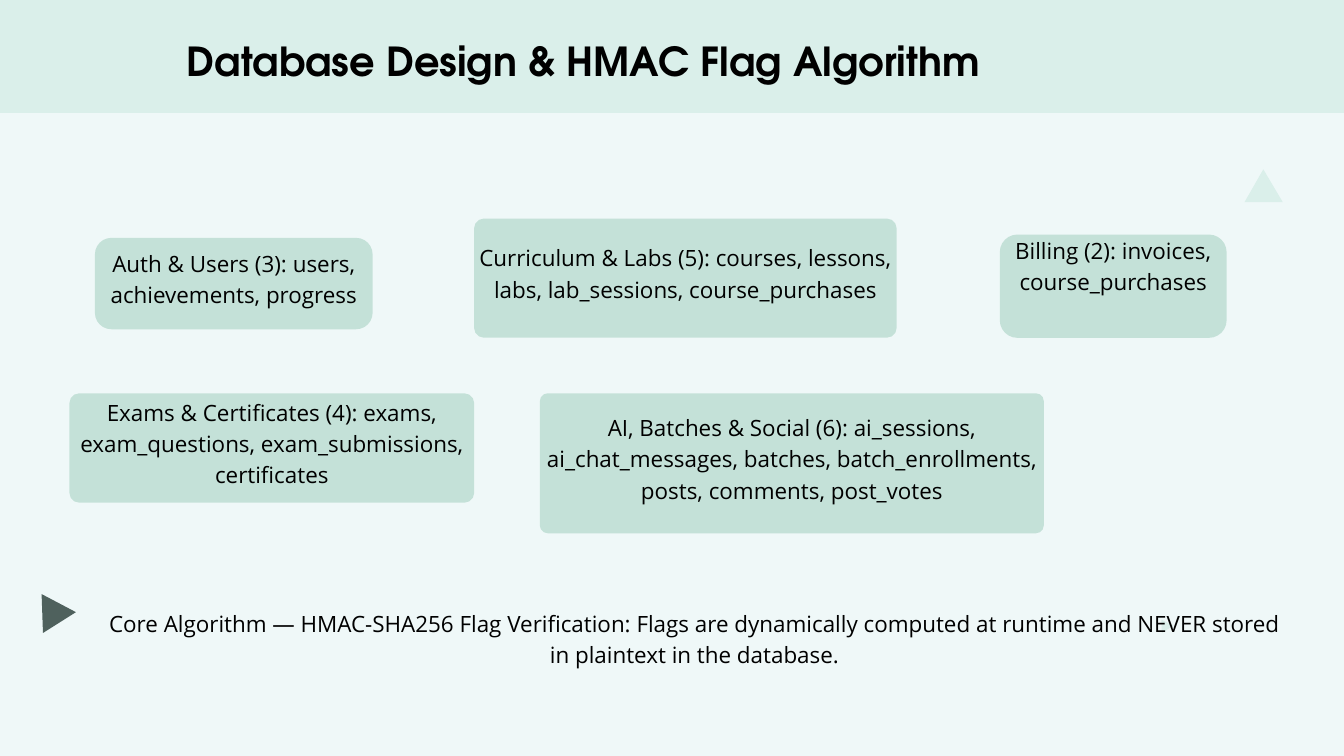
from pptx import Presentation
from pptx.dml.color import RGBColor
from pptx.enum.shapes import MSO_SHAPE
from pptx.enum.text import MSO_ANCHOR, PP_ALIGN
from pptx.util import Pt

RECT, ROUND = MSO_SHAPE.RECTANGLE, MSO_SHAPE.ROUNDED_RECTANGLE
TOP, MIDDLE = MSO_ANCHOR.TOP, MSO_ANCHOR.MIDDLE
LEFT, CENTER = PP_ALIGN.LEFT, PP_ALIGN.CENTER

# Content
WIDE, HIGH = 1440, 810
COLORS = {"back": "EFF8F8", "mint": "DAEFEA", "card": "C4E1D8",
          "dark": "4F615D", "text": "000000"}
HEAD_FONT, BODY_FONT = "TeX Gyre Adventor", "Open Sans"
TITLE = "Database Design & HMAC Flag Algorithm"
NOTE = ("Core Algorithm — HMAC-SHA256 Flag Verification: Flags are dynamically "
        "computed at runtime and NEVER stored in plaintext in the database.")

# Table groups: text, left, top, width, height, corner radius, space below text
CARDS = [
    ("Auth & Users (3): users, achievements, progress",
     101.7, 254.9, 297.5, 97.9, 17.6, 0),
    ("Exams & Certificates (4): exams, exam_questions, exam_submissions, "
     "certificates", 74.4, 421.4, 433.7, 117.2, 10.6, 0),
    ("AI, Batches & Social (6): ai_sessions, ai_chat_messages, batches, "
     "batch_enrollments, posts, comments, post_votes",
     578.4, 421.4, 540, 150, 8.5, 0),
    ("Curriculum & Labs (5): courses, lessons, labs, lab_sessions, "
     "course_purchases", 508, 234.2, 452.7, 127.6, 10.3, 0),
    ("Billing (2): invoices, course_purchases",
     1071.2, 251.3, 243, 110.7, 18.9, 33.6),
]

# Triangles: colour, corners
MARKS = [
    ("dark", [(44.6, 636.5), (81.4, 655.9), (46.1, 678.2)]),
    ("mint", [(1374.5, 216.7), (1333.4, 216.7), (1353.6, 181.4)]),
    ("mint", [(1244.2, 663.8), (1257.1, 670.3), (1244.9, 678.2)]),
]
INSET, RISE = 4.3, 14.4  # card text margin, and how far its box rises above

deck = Presentation()
deck.slide_width, deck.slide_height = Pt(WIDE), Pt(HIGH)
slide = deck.slides.add_slide(deck.slide_layouts[6])
shapes = slide.shapes


def tint(name):
    return RGBColor.from_string(COLORS[name])


def paint(shape, color):
    shape.shadow.inherit = False
    shape.fill.solid()
    shape.fill.fore_color.rgb = tint(color)
    shape.line.fill.background()


def block(kind, color, *area):
    shape = shapes.add_shape(kind, *map(Pt, area))
    paint(shape, color)
    return shape


def write(text, area, pads=(0, 0, 0, 0), font=BODY_FONT, size=24, pitch=33.6,
          bold=False, align=CENTER, anchor=TOP):
    frame = shapes.add_textbox(*map(Pt, area)).text_frame
    frame.word_wrap = True
    frame.vertical_anchor = anchor
    (frame.margin_left, frame.margin_top,
     frame.margin_right, frame.margin_bottom) = map(Pt, pads)
    para = frame.paragraphs[0]
    para.alignment, para.line_spacing = align, Pt(pitch)
    run = para.add_run()
    run.text = text
    run.font.name, run.font.size, run.font.bold = font, Pt(size), bold
    run.font.color.rgb = tint("text")


# Background and banner
slide.background.fill.solid()
slide.background.fill.fore_color.rgb = tint("back")
block(RECT, "mint", 0, 0, WIDE, 121)

# Triangles
for color, corners in MARKS:
    first, *rest = [(Pt(x), Pt(y)) for x, y in corners]
    path = shapes.build_freeform(*first)
    path.add_line_segments(rest, close=True)
    paint(path.convert_to_shape(), color)

# Title
write(TITLE, (200.2, 48.2, 1216, 87), font=HEAD_FONT, size=42.8, pitch=42.8,
      bold=True, align=LEFT)

# Cards
for text, x, y, w, h, radius, below in CARDS:
    card = block(ROUND, "card", x, y, w, h)
    card.adjustments[0] = radius / min(w, h)
    write(text, (x, y - RISE, w, h + RISE),
          (INSET, INSET, INSET, INSET + below), anchor=MIDDLE)

# Note
write(NOTE, (101.5, 648.7, 1285.2, 64), (6, 0, 6, 0))

deck.save("out.pptx")
